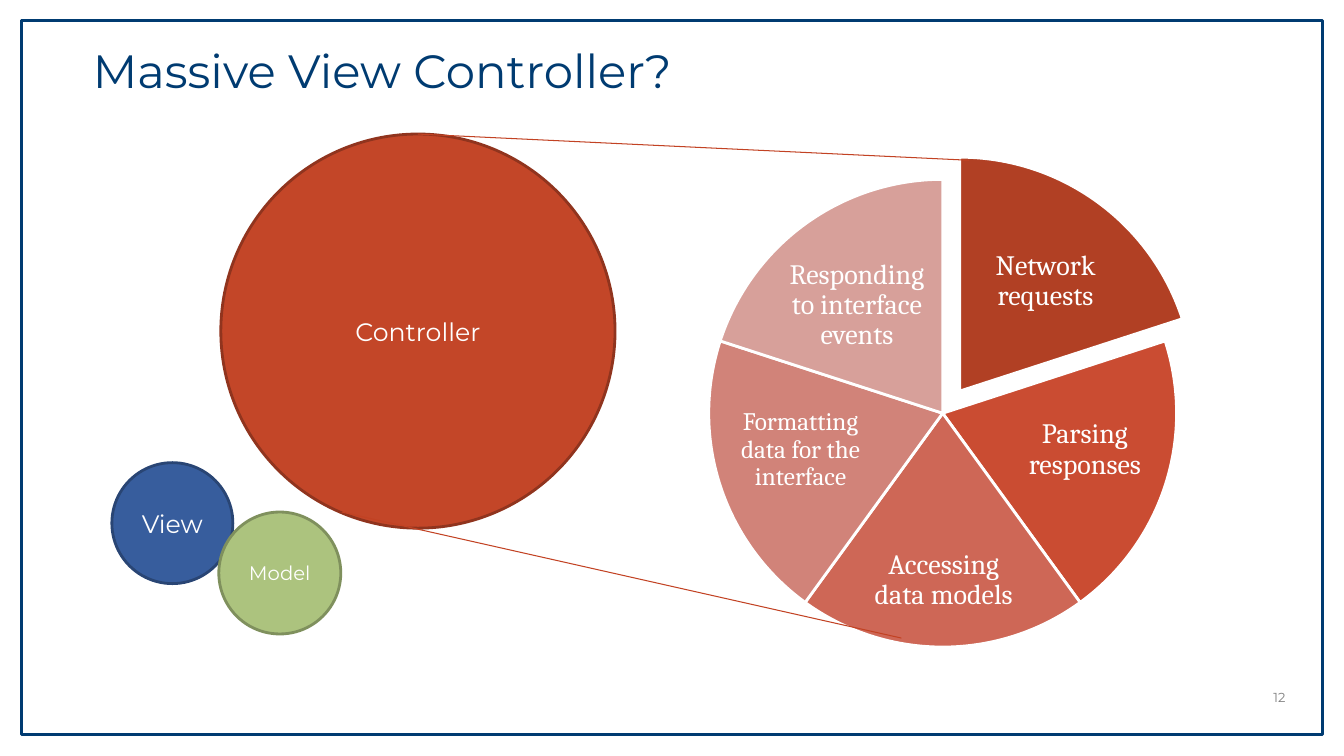
from lxml import etree
from pptx import Presentation
from pptx.dml.color import RGBColor
from pptx.enum.shapes import MSO_CONNECTOR, MSO_SHAPE
from pptx.enum.text import MSO_ANCHOR, MSO_AUTO_SIZE, PP_ALIGN
from pptx.oxml.ns import qn
from pptx.util import Emu, Pt

PX = 9144  # 100 px to the inch
RECT, OVAL, PIE = MSO_SHAPE.RECTANGLE, MSO_SHAPE.OVAL, MSO_SHAPE.PIE
STRAIGHT = MSO_CONNECTOR.STRAIGHT
LEFT, CENTER, RIGHT = PP_ALIGN.LEFT, PP_ALIGN.CENTER, PP_ALIGN.RIGHT
TOP, MIDDLE = MSO_ANCHOR.TOP, MSO_ANCHOR.MIDDLE
FIXED = MSO_AUTO_SIZE.NONE

SANS, SERIF = "Montserrat", "Cambria"
NAVY, WHITE, GREY, RED = "003B71", "FFFFFF", "7F7F7F", "C24223"


def px(*lengths):
    return [Emu(length * PX) for length in lengths]


def rgb(value):
    return RGBColor.from_string(value)


def write(frame, text, size=18, font=SANS, color=WHITE, align=CENTER,
          anchor=MIDDLE, inset=None, spacing=1.0):
    frame.word_wrap = True
    frame.auto_size = FIXED
    frame.vertical_anchor = anchor
    if inset is not None:
        margin, = px(inset)
        frame.margin_left = frame.margin_right = margin
        frame.margin_top = frame.margin_bottom = margin
    frame.text = text
    paragraph = frame.paragraphs[0]
    paragraph.alignment = align
    paragraph.line_spacing = spacing
    paragraph.space_before = Pt(0)
    paragraph.font.size = Pt(size)
    paragraph.font.name = font
    paragraph.font.color.rgb = rgb(color)


class SlideBuilder:
    outline = Pt(2)
    thin = Pt(0.75)

    def __init__(self, slide):
        self.slide = slide
        self.shapes = slide.shapes

    def title(self, box, text, **style):
        title = self.slide.shapes.title
        title.left, title.top, title.width, title.height = px(*box)
        write(title.text_frame, text, **style)

    def shape(self, kind, box, fill, line, parent=None):
        shape = (parent or self.slide).shapes.add_shape(kind, *px(*box))
        shape.shadow.inherit = False
        if fill:
            shape.fill.solid()
            shape.fill.fore_color.rgb = rgb(fill)
        else:
            shape.fill.background()
        shape.line.color.rgb = rgb(line)
        shape.line.width = self.outline
        return shape

    def label(self, box, text, parent=None, **style):
        label = (parent or self.slide).shapes.add_textbox(*px(*box))
        write(label.text_frame, text, **style)

    def circle(self, box, text, fill, line, size):
        circle = self.shape(OVAL, box, fill, line)
        write(circle.text_frame, text, size=size)
        return circle

    def wedge(self, parent, box, start, sweep, fill):
        wedge = self.shape(PIE, box, fill, WHITE, parent)
        for index, degrees in enumerate((start, start + sweep)):
            # Angles are 60000ths of a degree, adjustments 100000ths
            wedge.adjustments[index] = degrees % 360 * 0.6

    def line(self, start, end, color):
        line = self.shapes.add_connector(STRAIGHT, *px(*start, *end))
        line.line.color.rgb = rgb(color)
        line.line.width = self.thin
        etree.SubElement(line._element.spPr, qn("a:effectLst"))
        return line


def main():
    presentation = Presentation()
    presentation.slide_width, presentation.slide_height = px(1333, 750)
    page = SlideBuilder(presentation.slides.add_slide(presentation.slide_layouts[5]))

    # Page number, frame and title
    page.label((1226, 679, 54, 25), "12", size=9.3, color=GREY, align=RIGHT, inset=5)
    page.shape(RECT, (21, 20, 1291, 709), None, NAVY)
    page.title((92, 42, 1150, 145), "Massive View Controller?", size=33.3,
               color=NAVY, align=LEFT, anchor=TOP, inset=0)

    # Controller duties as equal wedges, clockwise from the top
    duties = [
        ("Network requests", "B14024", (958, 225, 158, 108), 20),
        ("Parsing responses", "CA4C32", (1007, 388, 138, 117), 20),
        ("Accessing data models", "CE6756", (853, 526, 166, 100), 20),
        ("Formatting data for the interface", "D18379", (725, 388, 138, 117), 18),
        ("Responding to interface events", "D7A09A", (771, 249, 158, 108), 20),
    ]
    sweep = 360 / len(duties)
    pie = page.shapes.add_group_shape()
    for index, (duty, fill, label_box, size) in enumerate(duties):
        left, top = (703, 178) if index else (720, 156)  # first wedge pulled out
        page.wedge(pie, (left, top, 464, 464), 270 + index * sweep, sweep, fill)
        page.label(label_box, duty, pie, size=size, font=SERIF, inset=3, spacing=0.9)

    # The three parts of the pattern
    page.circle((111, 459, 120, 120), "View", "375D9D", "294574", 18)
    page.circle((217, 508, 121, 121), "Model", "ACC37E", "7F905D", 14)
    controller = page.circle((219, 133, 391, 391), "Controller", "C34628", "90341E", 18)

    # Lines from the controller to its duties
    upper = page.line((414, 133), (961, 159), RED)
    upper.begin_connect(controller, 0)
    page.line((339, 508), (894, 633), RED)

    presentation.save("out.pptx")


if __name__ == "__main__":
    main()
